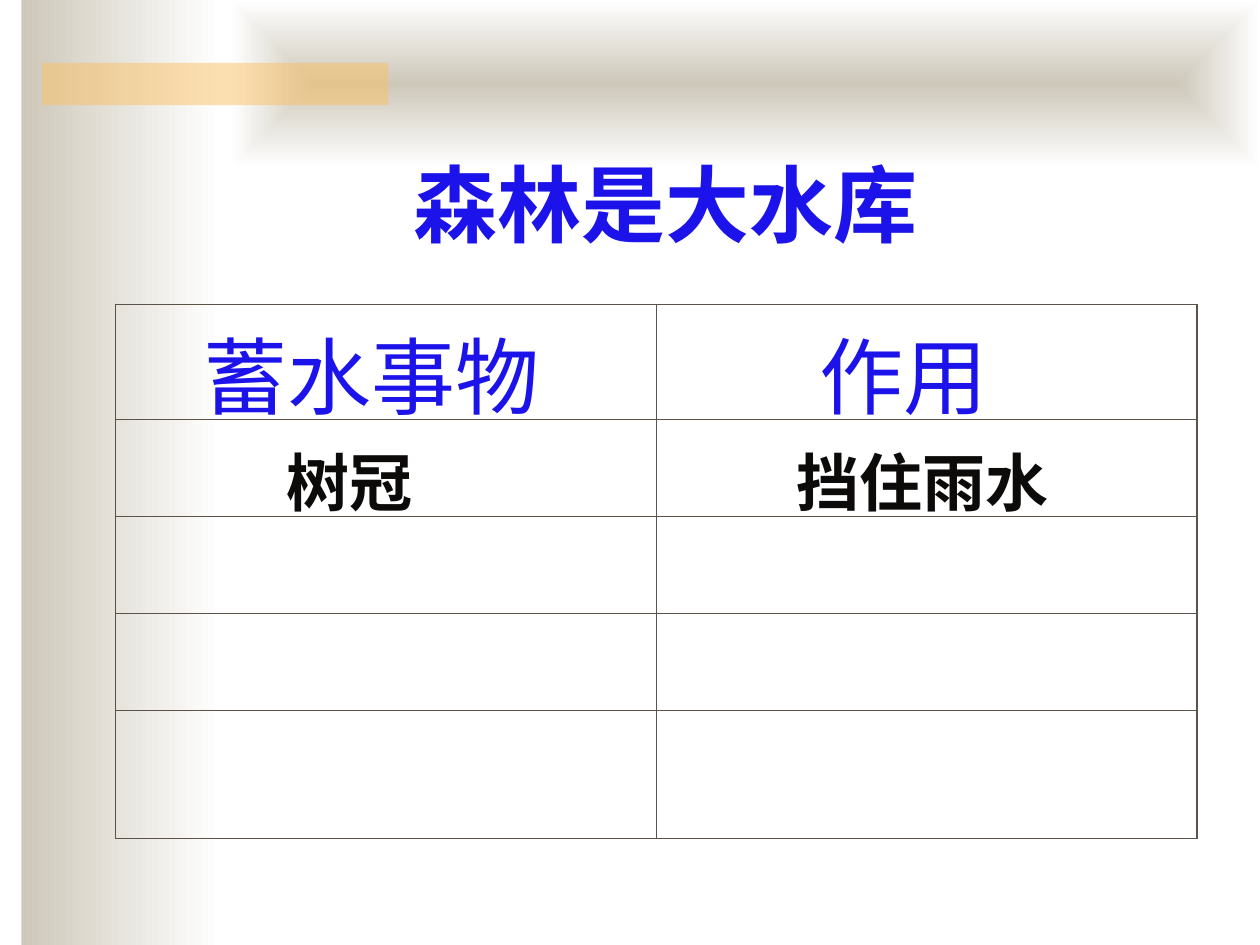
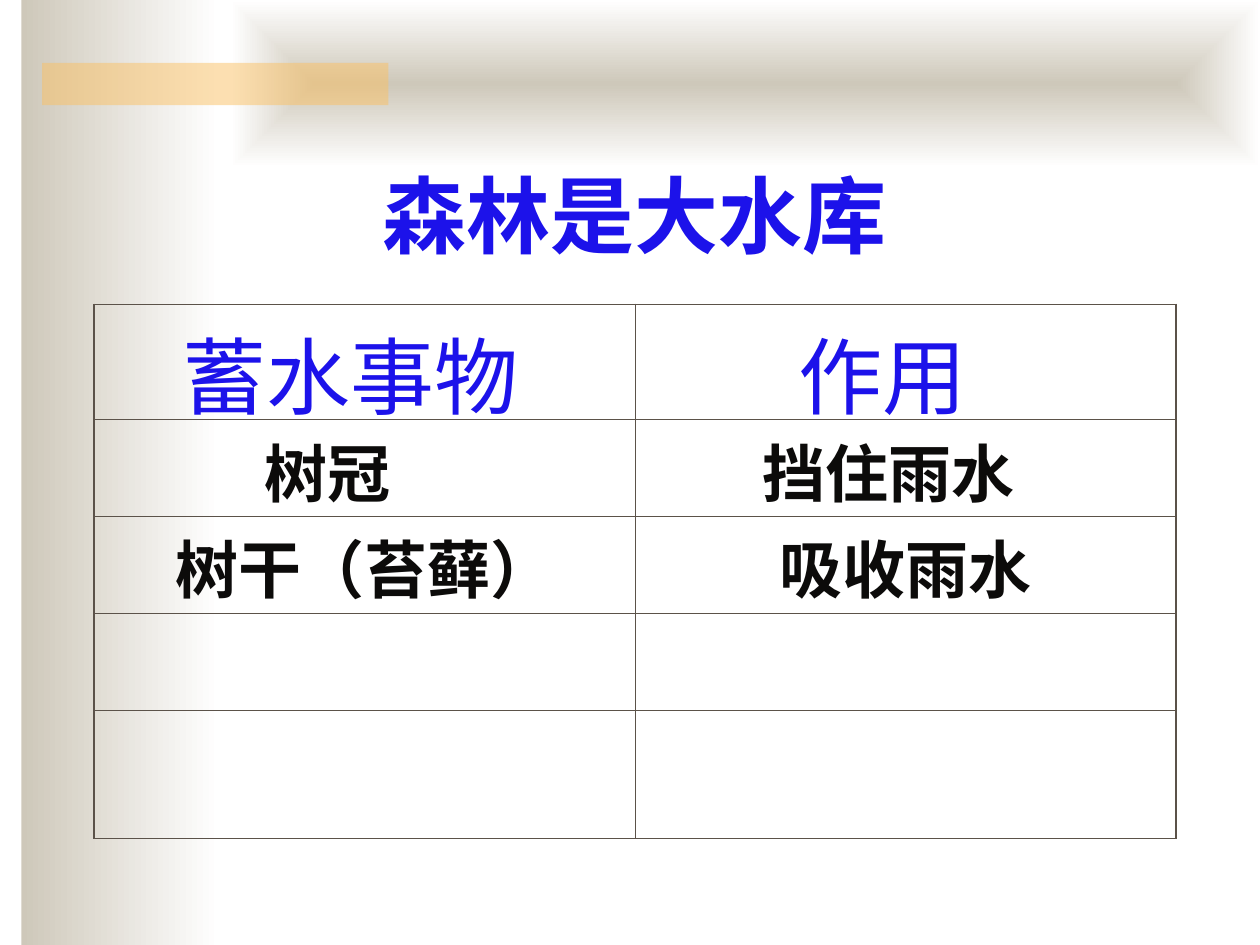
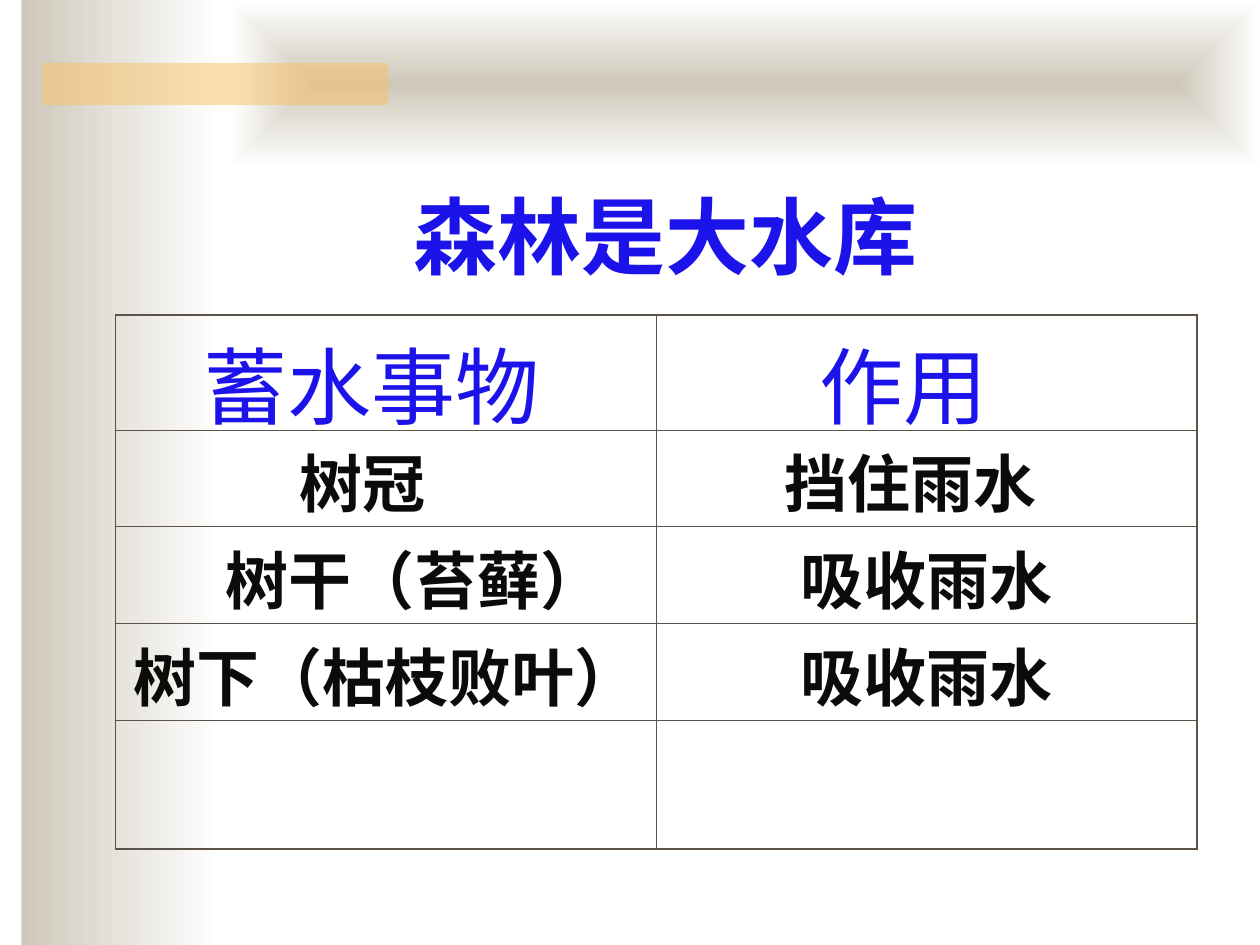
from dataclasses import dataclass

from lxml import etree
from pptx import Presentation
from pptx.dml.color import RGBColor
from pptx.enum.shapes import MSO_SHAPE
from pptx.enum.text import PP_ALIGN
from pptx.oxml import parse_xml
from pptx.oxml.ns import qn
from pptx.util import Cm, Pt

RECT = MSO_SHAPE.RECTANGLE
LEFT, CENTER = PP_ALIGN.LEFT, PP_ALIGN.CENTER
DRAWING_NS = "http://schemas.openxmlformats.org/drawingml/2006/main"


@dataclass(frozen=True)
class Theme:
    font: str = "Times New Roman"
    heading: str = "1C12EA"
    body: str = "0C0B0A"
    grid: str = "5B5249"
    sand: str = "CEC8BA"
    paper: str = "FFFFFF"
    accent: str = "FAC164"
    heading_size: int = 48
    body_size: int = 36
    outer_line: float = 1.08
    inner_line: float = 0.45


THEME = Theme()
SLIDE_SIZE = (25.4, 19.05)
TITLE = "森林是大水库"
TITLE_SIZE = (10.67, 2.28)
COLUMN_WIDTH = 10.9
ROW_HEIGHTS = (2.32, 1.95, 1.95, 1.95, 2.59)
CELL_INSET = 0.25
HEADER_TOP, BODY_TOP, LOW_BODY_TOP = 0.13, 0.09, 0.27


@dataclass(frozen=True)
class Entry:
    """A table entry, with its left and top insets in centimetres."""
    text: str
    left: float = CELL_INSET
    top: float = BODY_TOP
    align: PP_ALIGN = LEFT


HEADER = (Entry("蓄水事物", 1.77, HEADER_TOP), Entry("作用", 3.29, HEADER_TOP))
BLOCKS_RAIN = Entry("挡住雨水", 2.58)
ABSORBS_RAIN = Entry("吸收雨水", align=CENTER)

# Title corner, table corner, rows below the header
SLIDES = (
    ((8.08, 2.96), (2.33, 6.14),
     ((Entry("树冠", 3.45, LOW_BODY_TOP), Entry("挡住雨水", 2.82, LOW_BODY_TOP)),)),
    ((7.45, 3.18), (1.9, 6.14),
     ((Entry("树冠", 3.43), BLOCKS_RAIN),
      (Entry("树干（苔藓）", align=CENTER), ABSORBS_RAIN))),
    ((8.08, 3.6), (2.33, 6.35),
     ((Entry("树冠", 3.71), BLOCKS_RAIN),
      (Entry("树干（苔藓）", 1.39, align=CENTER), ABSORBS_RAIN),
      (Entry("树下（枯枝败叶）", align=CENTER), ABSORBS_RAIN))),
)


def write_text(frame, text, *, size, color, bold=False, align=LEFT):
    paragraph = frame.paragraphs[0]
    paragraph.alignment = align
    run = paragraph.add_run()
    run.text = text
    run.font.name = THEME.font
    run.font.size = Pt(size)
    run.font.bold = bold
    run.font.color.rgb = RGBColor.from_string(color)


def add_band(slide, box):
    band = slide.shapes.add_shape(RECT, *map(Cm, box))
    band.shadow.inherit = False
    band.line.fill.background()
    return band


def fade_to_paper(band):
    band.fill.gradient()
    band.fill.gradient_angle = 0
    for stop, color in zip(band.fill.gradient_stops, (THEME.sand, THEME.paper)):
        stop.color.rgb = RGBColor.from_string(color)


def fade_from_center(band):
    """Turn the linear fade of a band into a rectangular one."""
    gradient = band.fill._xPr.find(qn("a:gradFill"))
    linear = gradient.find(qn("a:lin"))
    gradient.replace(linear, parse_xml(
        f'<a:path xmlns:a="{DRAWING_NS}" path="rect">'
        '<a:fillToRect l="50000" t="50000" r="50000" b="50000"/></a:path>'))


def add_backdrop(slide, width, height):
    side_band = add_band(slide, (0.43, 0, 4.01, height))
    fade_to_paper(side_band)

    top_band = add_band(slide, (4.65, 0, width - 4.65, 3.38))
    fade_to_paper(top_band)
    fade_from_center(top_band)

    accent_bar = add_band(slide, (0.85, 1.27, 6.98, 0.85))
    accent_bar.fill.solid()
    accent_bar.fill.fore_color.rgb = RGBColor.from_string(THEME.accent)
    color = accent_bar.fill._xPr.find(f".//{qn('a:srgbClr')}")
    etree.SubElement(color, qn("a:alpha"), val="50000")


def add_title(slide, corner):
    title = slide.shapes.add_textbox(*map(Cm, corner + TITLE_SIZE))
    title.text_frame.word_wrap = False
    write_text(title.text_frame, TITLE, size=THEME.heading_size,
               color=THEME.heading, bold=True, align=CENTER)


def set_borders(cell, outer_sides):
    properties = cell._tc.get_or_add_tcPr()
    for index, side in enumerate("LRTB"):
        width = THEME.outer_line if side in outer_sides else THEME.inner_line
        properties.insert(index, parse_xml(
            f'<a:ln{side} xmlns:a="{DRAWING_NS}" w="{Pt(width)}"><a:solidFill>'
            f'<a:srgbClr val="{THEME.grid}"/></a:solidFill></a:ln{side}>'))


def outer_sides_of(row, column):
    edges = {"L": column == 0, "R": column == 1,
             "T": row == 0, "B": row == len(ROW_HEIGHTS) - 1}
    return {side for side, is_outer in edges.items() if is_outer}


def fill_entry(cell, entry, is_header):
    cell.margin_left, cell.margin_top = Cm(entry.left), Cm(entry.top)
    cell.margin_right, cell.margin_bottom = Cm(CELL_INSET), 0
    write_text(cell.text_frame, entry.text, align=entry.align, bold=not is_header,
               size=THEME.heading_size if is_header else THEME.body_size,
               color=THEME.heading if is_header else THEME.body)


def add_water_table(slide, corner, body_rows):
    size = (2 * COLUMN_WIDTH, sum(ROW_HEIGHTS))
    table = slide.shapes.add_table(len(ROW_HEIGHTS), 2, *map(Cm, corner + size)).table
    table.first_row = table.horz_banding = False
    for column in table.columns:
        column.width = Cm(COLUMN_WIDTH)
    for row, height in zip(table.rows, ROW_HEIGHTS):
        row.height = Cm(height)
    for r in range(len(ROW_HEIGHTS)):
        for c in range(2):
            cell = table.cell(r, c)
            cell.fill.background()
            set_borders(cell, outer_sides_of(r, c))
    for r, entries in enumerate((HEADER, *body_rows)):
        for c, entry in enumerate(entries):
            fill_entry(table.cell(r, c), entry, is_header=r == 0)


def main():
    presentation = Presentation()
    presentation.slide_width, presentation.slide_height = map(Cm, SLIDE_SIZE)
    blank = presentation.slide_layouts[6]
    for title_corner, table_corner, body_rows in SLIDES:
        slide = presentation.slides.add_slide(blank)
        add_backdrop(slide, *SLIDE_SIZE)
        add_title(slide, title_corner)
        add_water_table(slide, table_corner, body_rows)
    presentation.save("out.pptx")


if __name__ == "__main__":
    main()
